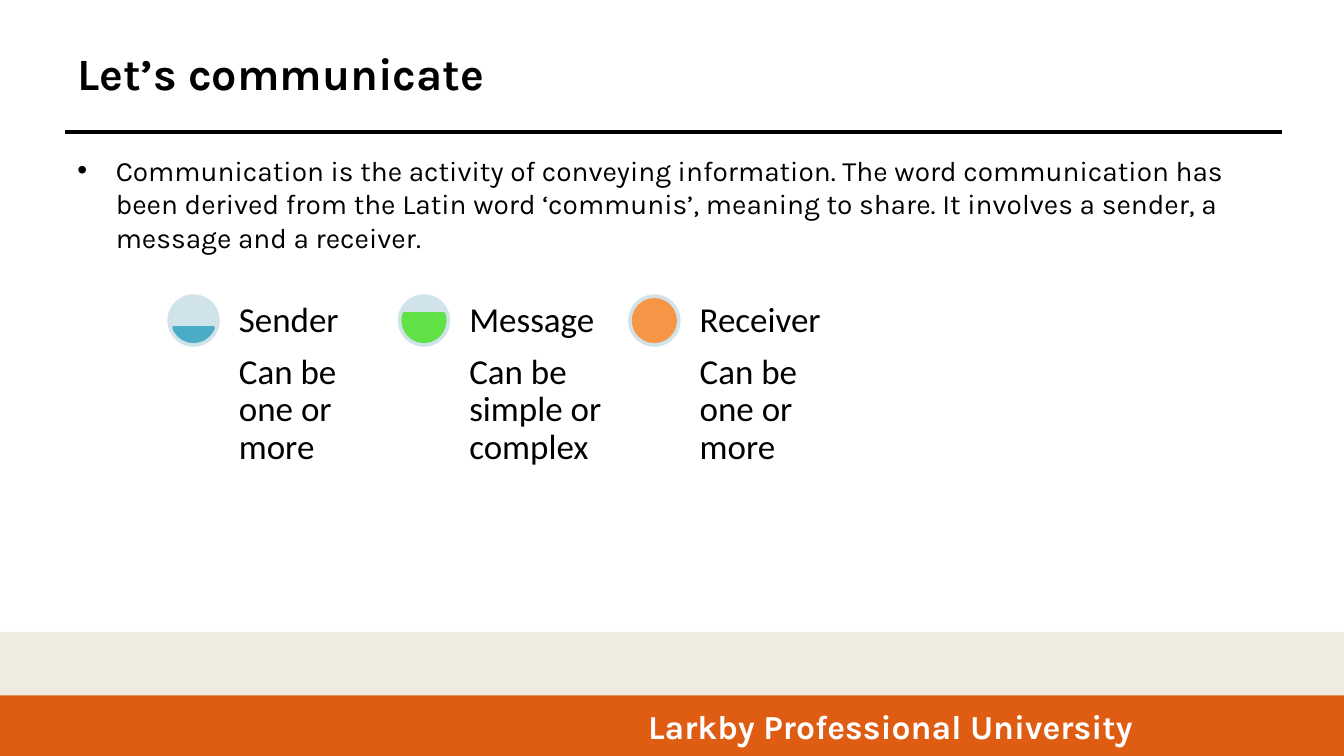
from pptx import Presentation
from pptx.dml.color import RGBColor
from pptx.enum.shapes import MSO_CONNECTOR, MSO_SHAPE
from pptx.enum.text import MSO_ANCHOR, PP_ALIGN
from pptx.oxml.ns import qn
from pptx.util import Inches, Pt
from lxml import etree

RECT, OVAL, CHORD = MSO_SHAPE.RECTANGLE, MSO_SHAPE.OVAL, MSO_SHAPE.CHORD
TOP, MIDDLE, BOTTOM = MSO_ANCHOR.TOP, MSO_ANCHOR.MIDDLE, MSO_ANCHOR.BOTTOM

prs = Presentation()
prs.slide_width, prs.slide_height = Inches(13.33), Inches(7.5)
s = prs.slides.add_slide(prs.slide_layouts[6])


def add_shape(kind, box, fill, outlined=False):
    sp = s.shapes.add_shape(kind, *map(Inches, box))
    sp.shadow.inherit = False
    sp.fill.solid()
    sp.fill.fore_color.rgb = RGBColor.from_string(fill)
    if outlined:
        sp.line.color.rgb = RGBColor.from_string(fill)
        sp.line.width = Pt(2)
    else:
        sp.line.fill.background()
    return sp


def add_text(sp, text, size, font, anchor=TOP, color="000000", bold=False, inset=0.1):
    tf = sp.text_frame
    tf.word_wrap = True
    tf.vertical_anchor = anchor
    tf.margin_left = tf.margin_right = Inches(inset)
    tf.margin_top = tf.margin_bottom = Inches(min(inset, 0.07))
    p = tf.paragraphs[0]
    r = p.add_run()
    r.text = text
    r.font.size, r.font.name, r.font.bold = Pt(size), font, bold
    r.font.color.rgb = RGBColor.from_string(color)
    return p


# Rule under the title
rule = s.shapes.add_connector(MSO_CONNECTOR.STRAIGHT, Inches(0.64), Inches(1.31),
                              Inches(12.72), Inches(1.31))
rule.line.color.rgb = RGBColor.from_string("000000")
rule.line.width = Pt(3)
etree.SubElement(rule._element.spPr, qn("a:effectLst"))

# Footer bands, with the name set right of centre
footer = add_shape(RECT, (0, 6.9, 13.33, 0.6), "DF5C13", outlined=True)
p = add_text(footer, "Larkby Professional University", 24, "Karla", MIDDLE, "FFFFFF", True)
p.alignment = PP_ALIGN.CENTER
footer.text_frame.margin_left = Inches(4.43)
add_shape(RECT, (0, 6.27, 13.33, 0.63), "EEECE1")

# Title
title = s.shapes.add_textbox(*map(Inches, (0.67, 0.3, 10.83, 0.85)))
add_text(title, "Let’s communicate", 32, "Karla", MIDDLE, bold=True)

# Bulleted definition
body = s.shapes.add_textbox(*map(Inches, (0.67, 1.47, 12, 1.25)))
p = add_text(body, "Communication is the activity of conveying information. "
             "The word communication has been derived from the Latin word ‘communis’, "
             "meaning to share. It involves a sender, a message and a receiver.", 20, "Karla")
body.text_frame.margin_top = Inches(0.05)
p.space_before = Pt(4)
pPr = p._p.get_or_add_pPr()
pPr.set("marL", str(Inches(0.38)))
pPr.set("indent", str(-Inches(0.38)))
etree.SubElement(pPr, qn("a:buFont")).set("typeface", "Arial")
etree.SubElement(pPr, qn("a:buChar")).set("char", "•")

# Three parts of communication: filling disc, heading, detail
LEFT, PITCH, HEAD_TOP, DISC, RIM = 1.66, 2.285, 2.92, 0.52, 0.05
parts = [
    ("Sender", "Can be one or more", "4BACC6", (11.683, 96.317)),
    ("Message", "Can be simple or complex", "60E146", (204.317, 119.683)),
    ("Receiver", "Can be one or more", "F79646", (162, 162)),
]
for i, (heading, detail, color, angles) in enumerate(parts):
    x = LEFT + i * PITCH
    add_shape(OVAL, (x, HEAD_TOP, DISC, DISC), "D0E3EA")
    level = add_shape(CHORD, (x + RIM, HEAD_TOP + RIM, DISC - 2 * RIM, DISC - 2 * RIM),
                      color, outlined=True)
    level.adjustments[0], level.adjustments[1] = angles
    for text, y, height, anchor in ((detail, HEAD_TOP + DISC, 2.2, TOP),
                                    (heading, HEAD_TOP, DISC, BOTTOM)):
        box = s.shapes.add_textbox(*map(Inches, (x + 0.64, y, 1.54, height)))
        p = add_text(box, text, 25, "Calibri", anchor, inset=0.07)
        p.line_spacing = 0.9

prs.save("out.pptx")
